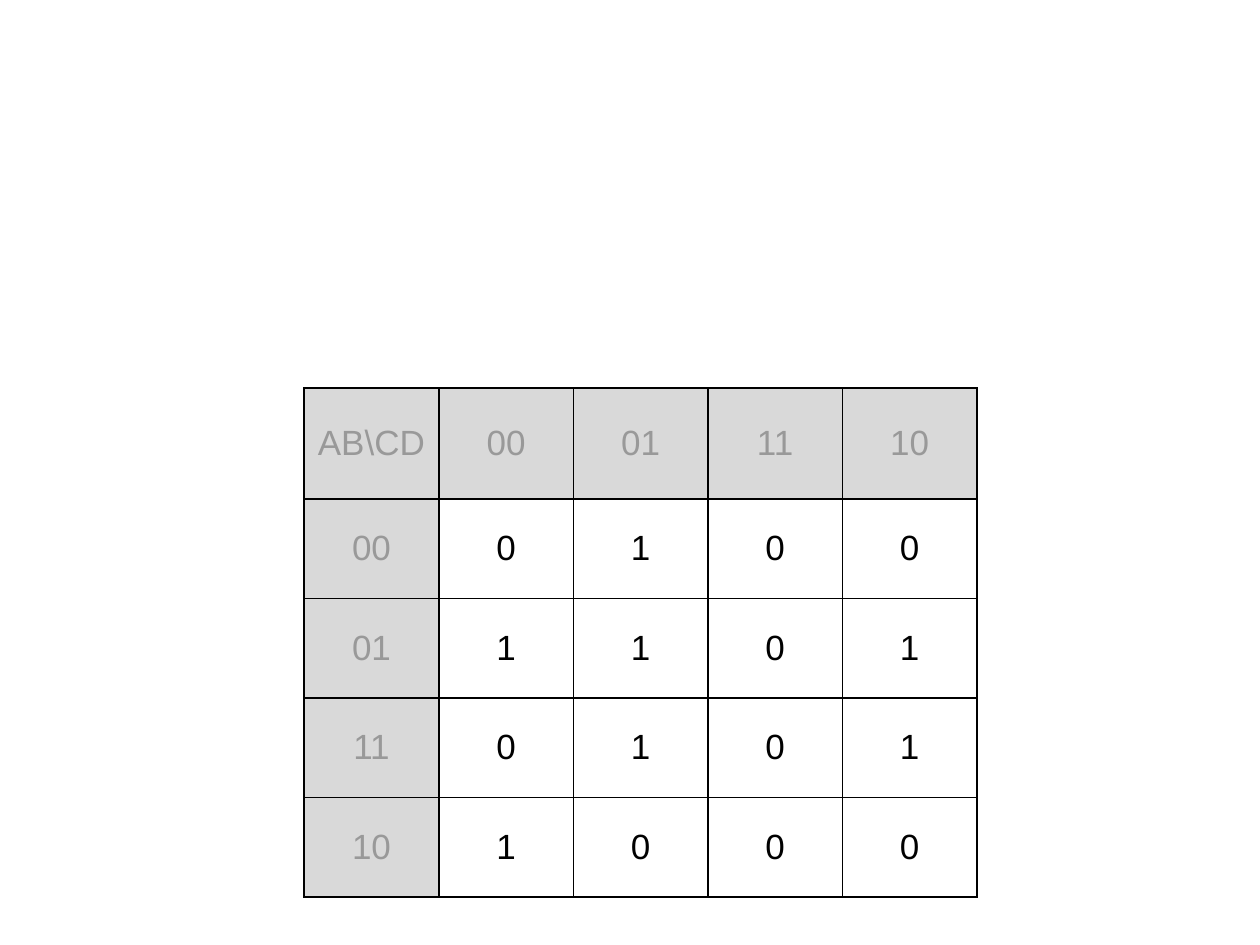
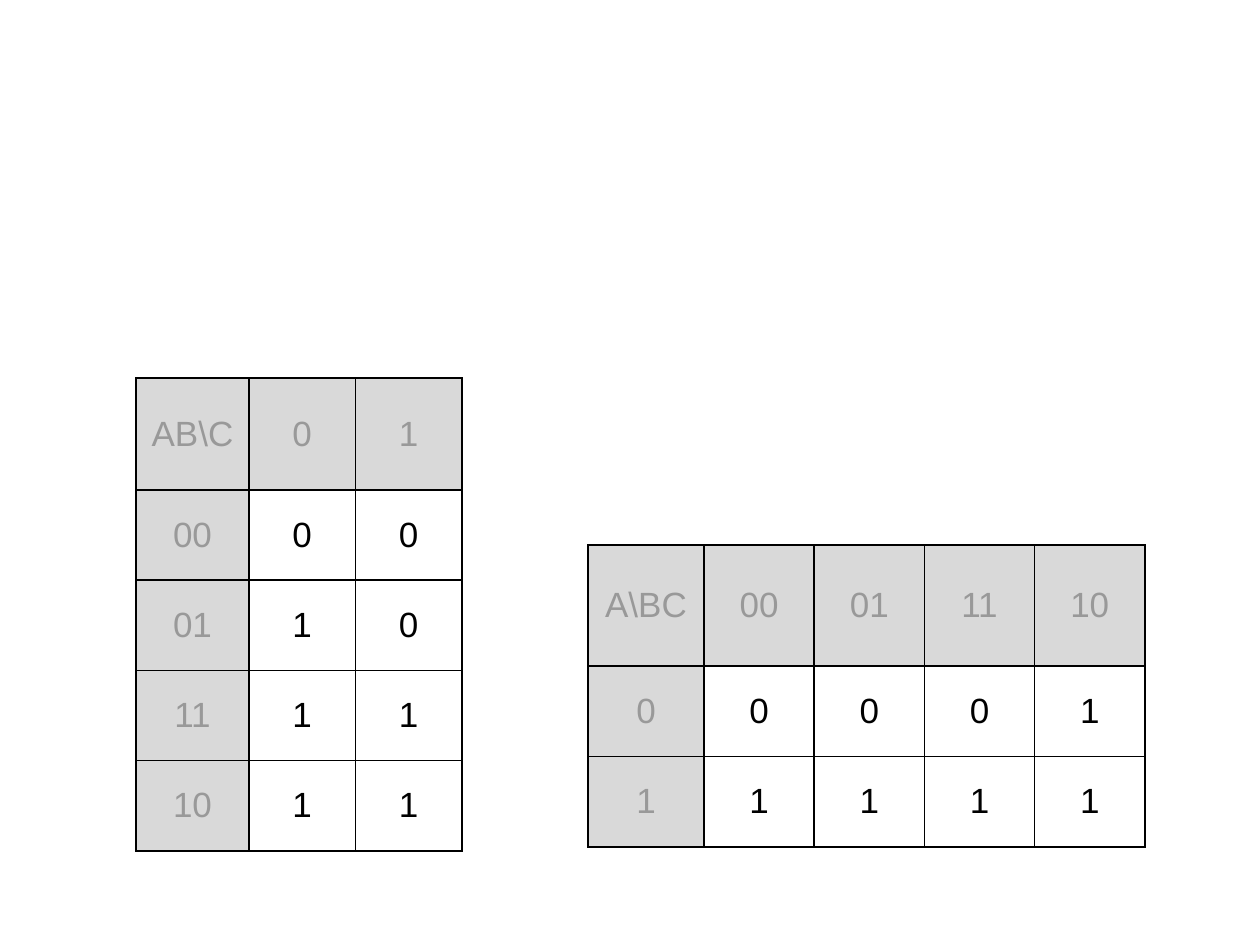
from lxml.etree import SubElement
from pptx import Presentation
from pptx.dml.color import RGBColor
from pptx.enum.text import MSO_ANCHOR, PP_ALIGN
from pptx.oxml.ns import qn
from pptx.util import Pt

PX = 914400 // 126
SLIDE_SIZE = (1260, 945)
FONT, FONT_SIZE = "Arial", 20
HEADER_FILL, HEADER_TEXT = "D9D9D9", "999999"
VALUE_TEXT = BORDER = "000000"

# box: left, top, width, height; corner: size of the top left cell
SLIDES = [
    [
        {
            "box": (304, 388, 673, 509), "corner": (135, 111), "hanging": 47,
            "variables": r"AB\CD",
            "columns": ["00", "01", "11", "10"],
            "rows": {"00": "0100", "01": "1101", "11": "0101", "10": "1000"},
        },
    ],
    [
        {
            "box": (136, 378, 326, 473), "corner": (113, 112), "hanging": 0,
            "variables": r"AB\C",
            "columns": ["0", "1"],
            "rows": {"00": "00", "01": "10", "11": "11", "10": "11"},
        },
        {
            "box": (588, 545, 557, 302), "corner": (116, 121), "hanging": 0,
            "variables": r"A\BC",
            "columns": ["00", "01", "11", "10"],
            "rows": {"0": "0001", "1": "1111"},
        },
    ],
]


def emu(px):
    return round(px * PX)


def color(hex_code):
    return RGBColor.from_string(hex_code)


def share(tracks, total, first):
    """Size the first row or column; split the rest of the total equally."""
    sizes = [first] + [(total - first) / (len(tracks) - 1)] * (len(tracks) - 1)
    return zip(tracks, map(emu, sizes))


def add_borders(cell):
    properties = cell._tc.get_or_add_tcPr()
    for side in ("lnL", "lnR", "lnT", "lnB"):
        line = SubElement(properties, qn(f"a:{side}"), w=str(Pt(1)))
        fill = SubElement(line, qn("a:solidFill"))
        SubElement(fill, qn("a:srgbClr"), val=BORDER)


def fill_cell(cell, text, is_header, hanging):
    add_borders(cell)
    if is_header:
        cell.fill.solid()
        cell.fill.fore_color.rgb = color(HEADER_FILL)
    else:
        cell.fill.background()
    cell.vertical_anchor = MSO_ANCHOR.MIDDLE
    cell.text_frame.text = text
    paragraph = cell.text_frame.paragraphs[0]
    paragraph.alignment = PP_ALIGN.CENTER
    if hanging:
        indents = paragraph._p.get_or_add_pPr()
        indents.set("marL", str(emu(hanging)))
        indents.set("indent", str(-emu(hanging)))
    font = paragraph.runs[0].font
    font.name, font.size = FONT, Pt(FONT_SIZE)
    font.color.rgb = color(HEADER_TEXT if is_header else VALUE_TEXT)


def add_karnaugh_map(slide, content):
    grid = [[content["variables"], *content["columns"]]]
    grid += [[label, *values] for label, values in content["rows"].items()]
    frame = slide.shapes.add_table(len(grid), len(grid[0]), *map(emu, content["box"]))
    table = frame.table
    table.first_row = table.horz_banding = False

    width, height = content["box"][2:]
    corner_width, corner_height = content["corner"]
    for column, size in share(table.columns, width, corner_width):
        column.width = size
    for row, size in share(table.rows, height, corner_height):
        row.height = size

    for r, texts in enumerate(grid):
        for c, text in enumerate(texts):
            fill_cell(table.cell(r, c), text, r == 0 or c == 0, content["hanging"])


def main():
    deck = Presentation()
    deck.slide_width, deck.slide_height = map(emu, SLIDE_SIZE)
    for karnaugh_maps in SLIDES:
        slide = deck.slides.add_slide(deck.slide_layouts[6])
        for content in karnaugh_maps:
            add_karnaugh_map(slide, content)
    deck.save("out.pptx")


if __name__ == "__main__":
    main()
